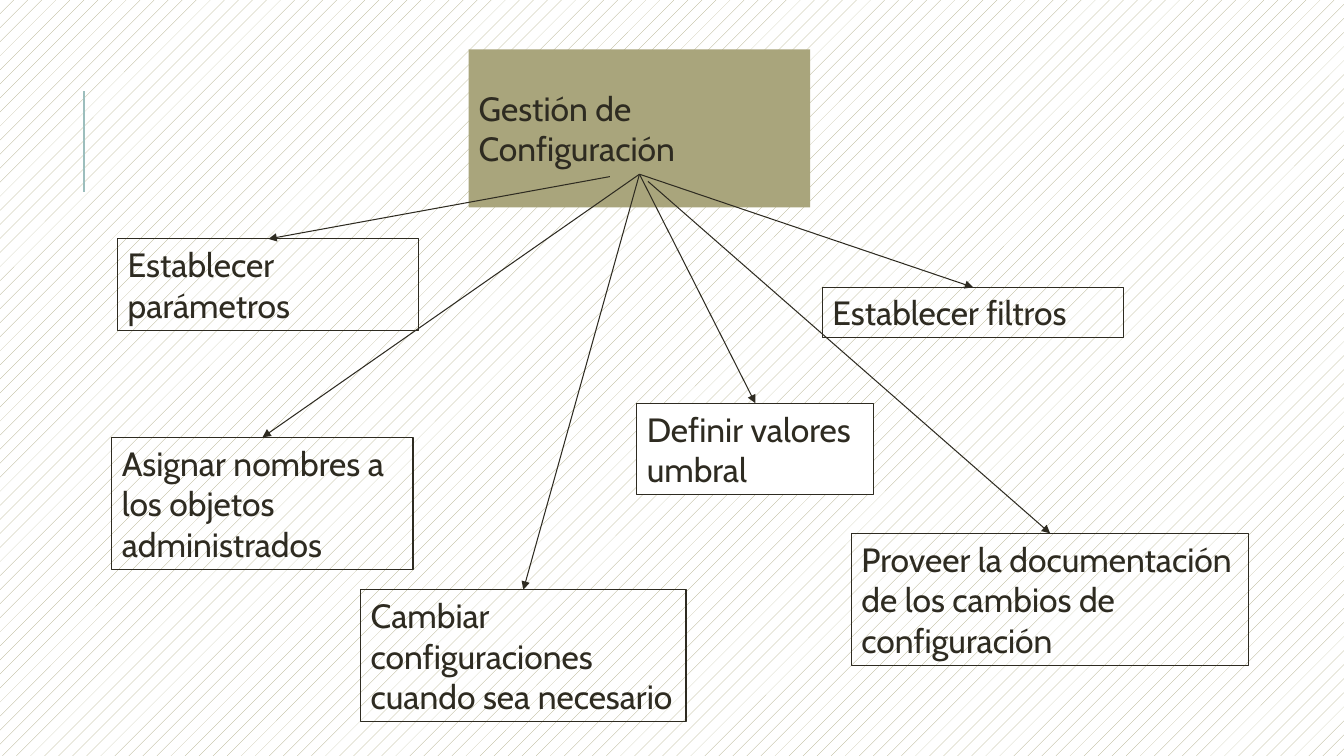
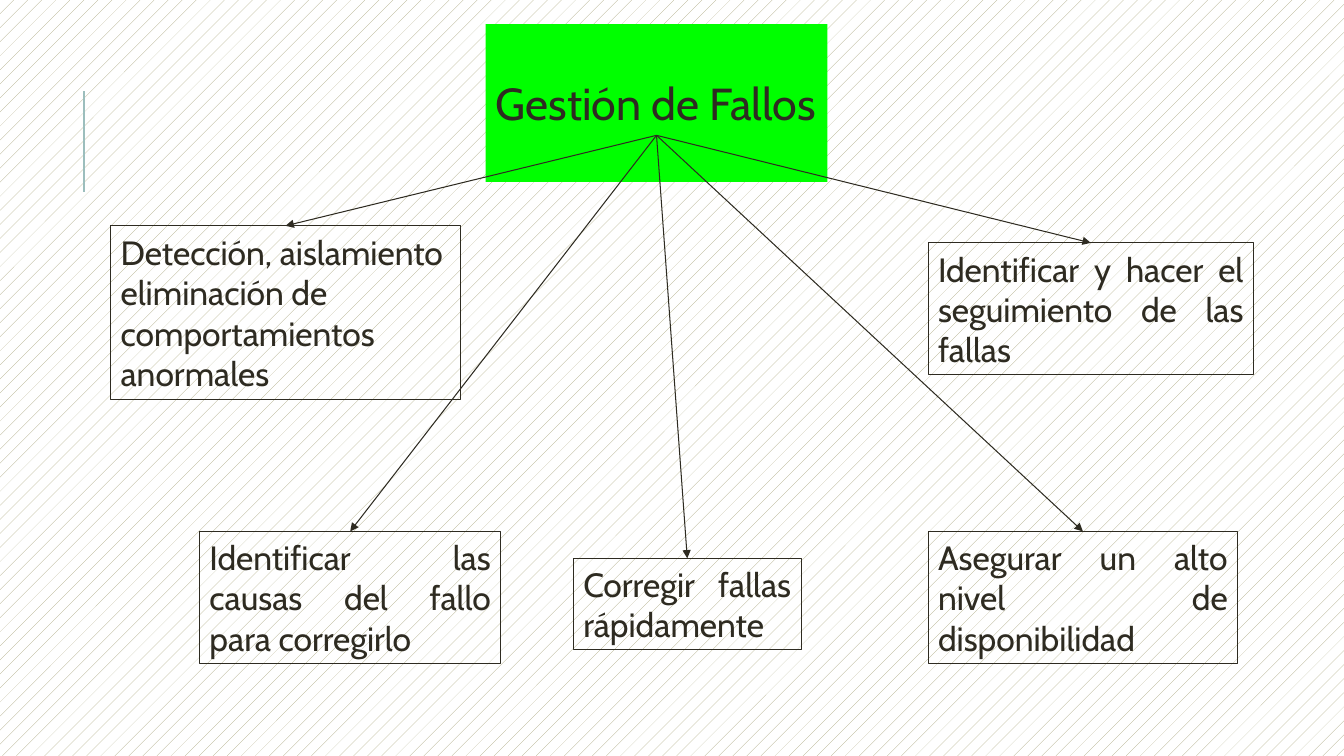
"""Builds two concept maps on network management."""
import pptx
import pptx.util
import pptx.oxml.ns
import pptx.dml.color
import pptx.enum.dml
import pptx.enum.shapes
import pptx.enum.text
import lxml.etree

Cm = pptx.util.Cm
Pt = pptx.util.Pt
RGB = pptx.dml.color.RGBColor
ALIGN = pptx.enum.text.PP_ALIGN
KIND = pptx.enum.shapes

INK = RGB(0x2E, 0x2B, 0x21)
OLIVE = RGB(0xA9, 0xA5, 0x7C)
GREEN = RGB(0x00, 0xFF, 0x00)
TEAL = RGB(0x9C, 0xBE, 0xBD)
WHITE = RGB(0xFF, 0xFF, 0xFF)
FONT = "Cabin"
TOP, BOTTOM = 0, 2


def write(shape, text, size=24, align=ALIGN.LEFT, color=INK):
    """Put formatted text in a shape."""
    frame = shape.text_frame
    frame.text = text
    frame.word_wrap = True
    frame.auto_size = pptx.enum.text.MSO_AUTO_SIZE.SHAPE_TO_FIT_TEXT
    frame.vertical_anchor = pptx.enum.text.MSO_ANCHOR.MIDDLE
    para = frame.paragraphs[0]
    para.alignment = align
    font = para.runs[0].font
    font.name = FONT
    font.size = Pt(size)
    font.color.rgb = color


class Deck:
    """Holds the style and the current slide."""

    def __init__(self):
        """Set the page size and the shared backdrop."""
        self.file = pptx.Presentation()
        self.file.slide_width = Cm(33.87)
        self.file.slide_height = Cm(19.05)
        fill = self.file.slide_master.background.fill
        fill.patterned()
        fill.pattern = pptx.enum.dml.MSO_PATTERN.PERCENT_5
        fill.fore_color.rgb = OLIVE
        fill.back_color.rgb = WHITE
        self.slide = None

    def start(self):
        """Open a slide with its side rule."""
        layout = self.file.slide_layouts.get_by_name("Title Only")
        self.slide = self.file.slides.add_slide(layout)
        self.line((2.11, 4.83), (2.11, 2.29), TEAL, 1.5)

    def title(self, text, place, fill, size):
        """Format the title as the root of the map."""
        root = self.slide.shapes.title
        root.left, root.top, root.width, root.height = map(Cm, place)
        root.fill.solid()
        root.fill.fore_color.rgb = fill
        write(root, text, size=size)
        return root

    def box(self, text, place, align, fill=None):
        """Add an outlined box."""
        box = self.slide.shapes.add_shape(
            KIND.MSO_SHAPE.RECTANGLE, *map(Cm, place))
        box.shadow.inherit = False
        if fill is None:
            box.fill.background()
        else:
            box.fill.solid()
            box.fill.fore_color.rgb = fill
        box.line.color.rgb = INK
        box.line.width = Pt(0.75)
        write(box, text, align=align)
        return box

    def line(self, head, tail, color, width):
        """Add a plain straight line."""
        line = self.slide.shapes.add_connector(
            KIND.MSO_CONNECTOR.STRAIGHT, *map(Cm, head + tail))
        line.line.color.rgb = color
        line.line.width = Pt(width)
        props = line._element.spPr
        lxml.etree.SubElement(props, pptx.oxml.ns.qn("a:effectLst"))
        return line

    def arrow(self, root, box, loose=None):
        """Point from the root, or a loose start, to the top of a box."""
        line = self.line(loose or (0, 0), (0, 0), INK, 0.75)
        if loose is None:
            line.begin_connect(root, BOTTOM)
        line.end_connect(box, TOP)
        tip = lxml.etree.SubElement(
            line.line._get_or_add_ln(), pptx.oxml.ns.qn("a:tailEnd"))
        tip.set("type", "triangle")

    def map(self, title, place, fill, size, items):
        """Build a slide with a root, its boxes and arrows."""
        self.start()
        root = self.title(title, place, fill, size)
        boxes = [self.box(*item[:3], **item[3]) for item in items]
        for box, item in zip(boxes, items):
            self.arrow(root, box, *item[4:])


def main():
    """Build and save the deck."""
    deck = Deck()
    left, just = ALIGN.LEFT, ALIGN.JUSTIFY
    deck.map("Gestión de Configuración", (11.81, 2.08, 8.61, 2.31), OLIVE, 24, [
        ("Definir valores umbral",
         (16.05, 10.16, 5.97, 2.31), left, {"fill": WHITE}),
        ("Establecer parámetros",
         (2.97, 6.02, 7.59, 2.31), left, {}, (15.37, 4.45)),
        ("Establecer filtros", (20.73, 7.24, 7.59, 1.27), left, {}),
        ("Asignar nombres a los objetos administrados",
         (2.82, 11.02, 7.59, 3.33), left, {}),
        ("Proveer la documentación de los cambios de configuración",
         (21.46, 13.44, 10.01, 3.33), left, {}, (16.33, 4.57)),
        ("Cambiar configuraciones cuando sea necesario",
         (9.09, 14.86, 8.2, 3.33), left, {}),
    ])
    deck.map("Gestión de Fallos", (12.24, 1.78, 8.61, 1.63), GREEN, 32, [
        ("Detección, aislamiento eliminación de comportamientos anormales",
         (2.79, 5.69, 8.81, 4.37), left, {}),
        ("Identificar y hacer el seguimiento de las fallas",
         (23.39, 6.12, 8.2, 3.33), just, {}),
        ("Corregir fallas rápidamente",
         (14.45, 14.07, 5.74, 2.31), just, {}),
        ("Asegurar un alto nivel de disponibilidad",
         (23.39, 13.39, 7.8, 3.33), just, {}),
        ("Identificar las causas del fallo para corregirlo",
         (5.03, 13.39, 7.59, 3.33), just, {}),
    ])
    deck.file.save("out.pptx")


if __name__ == "__main__":
    main()
